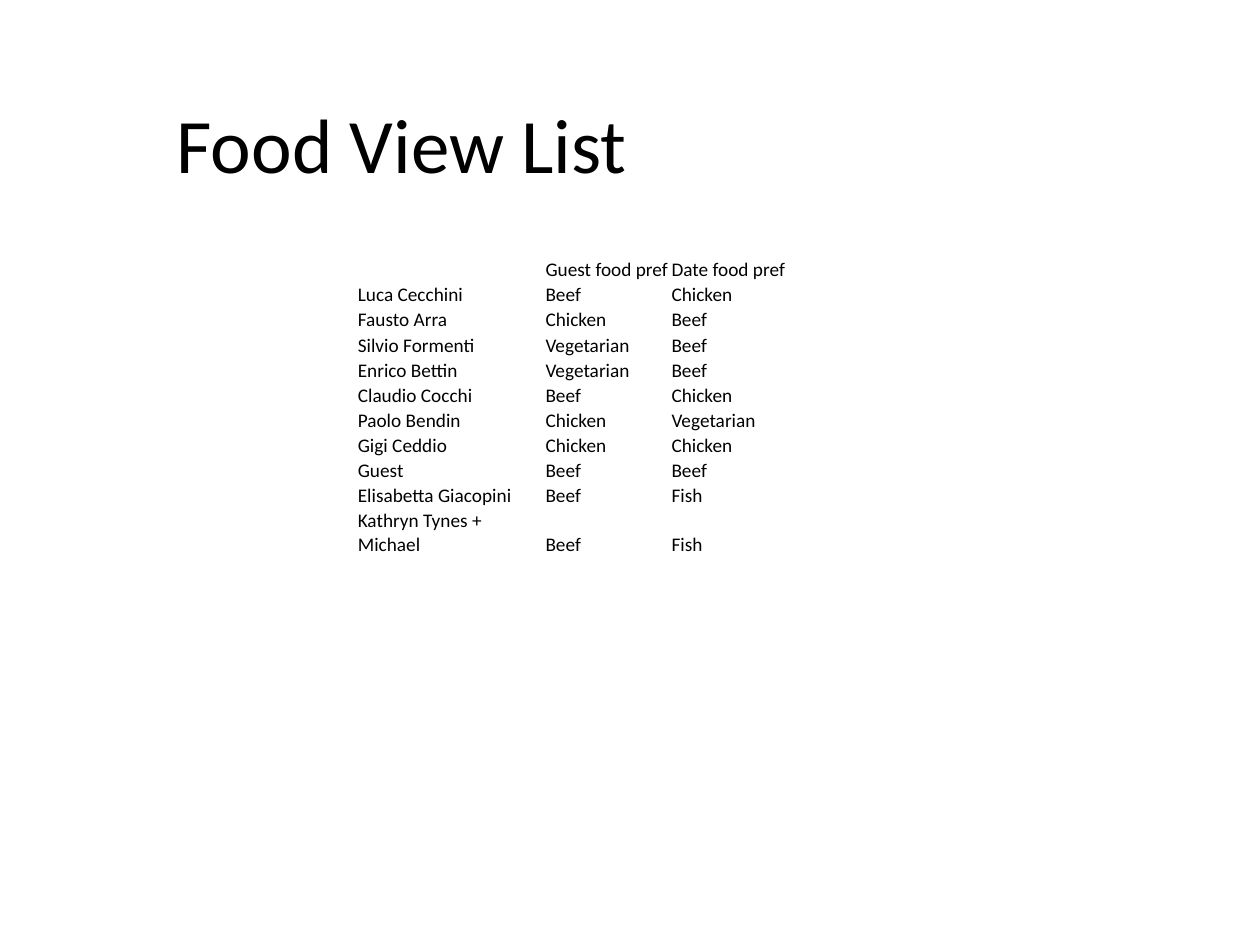
from dataclasses import dataclass

from lxml.etree import SubElement
from pptx import Presentation
from pptx.dml.color import RGBColor
from pptx.enum.text import MSO_ANCHOR as Anchor, PP_ALIGN as Align
from pptx.oxml.ns import qn
from pptx.util import Inches, Pt


@dataclass
class Theme:
    font: str = "Calibri"
    text: RGBColor = RGBColor(0, 0, 0)
    title_size: int = 44
    table_size: int = 11


class SlideBuilder:
    def __init__(self, prs, theme):
        self.theme = theme
        self.s = prs.slides.add_slide(prs.slide_layouts[5])

    def add_run(self, p, text, size):
        r = p.add_run()
        r.text = text
        r.font.name = self.theme.font
        r.font.size = Pt(size)
        r.font.color.rgb = self.theme.text

    def title(self, text, left, top, width, height):
        sp = self.s.shapes.title
        sp.left, sp.top = Inches(left), Inches(top)
        sp.width, sp.height = Inches(width), Inches(height)
        tf = sp.text_frame
        tf.vertical_anchor = Anchor.MIDDLE
        p = tf.paragraphs[0]
        p.alignment = Align.CENTER
        self.add_run(p, text, self.theme.title_size)

    def cell(self, cell, text):
        cell.fill.background()
        cell.vertical_anchor = Anchor.BOTTOM
        cell.margin_left = cell.margin_right = cell.margin_top = Inches(0.01)
        cell.margin_bottom = 0
        p = cell.text_frame.paragraphs[0]
        if text:
            self.add_run(p, text, self.theme.table_size)
        else:
            # An empty cell needs its own type size to keep the row low
            end = SubElement(p._p, qn("a:endParaRPr"))
            end.set("sz", str(self.theme.table_size * 100))

    def table(self, rows, left, top, col_widths, row_height, height):
        frame = self.s.shapes.add_table(
            len(rows), len(col_widths), Inches(left), Inches(top),
            Inches(sum(col_widths)), Inches(height))
        table = frame.table
        table.first_row = table.horz_banding = False
        for column, width in zip(table.columns, col_widths):
            column.width = Inches(width)
        for i, row in enumerate(rows):
            table.rows[i].height = Inches(row_height)
            for j, text in enumerate(row):
                self.cell(table.cell(i, j), text)
        frame.height = Inches(height)


FOOD_CHOICES = [
    ("", "Guest food pref", "Date food pref"),
    ("Luca Cecchini", "Beef", "Chicken"),
    ("Fausto Arra", "Chicken", "Beef"),
    ("Silvio Formenti", "Vegetarian", "Beef"),
    ("Enrico Bettin", "Vegetarian", "Beef"),
    ("Claudio Cocchi", "Beef", "Chicken"),
    ("Paolo Bendin", "Chicken", "Vegetarian"),
    ("Gigi Ceddio", "Chicken", "Chicken"),
    ("Guest", "Beef", "Beef"),
    ("Elisabetta Giacopini", "Beef", "Fish"),
    ("Kathryn Tynes + Michael", "Beef", "Fish"),
]


def main():
    prs = Presentation()
    prs.slide_width, prs.slide_height = Inches(10), Inches(7.5)
    builder = SlideBuilder(prs, Theme())

    # Heading
    builder.title("Food View List", -1.06, 0.33, 8.5, 1.61)

    # Food preferences per guest
    builder.table(FOOD_CHOICES, left=2.83, top=2.04,
                  col_widths=(1.49, 1, 1), row_height=0.19, height=2.36)

    prs.save("out.pptx")


if __name__ == "__main__":
    main()
